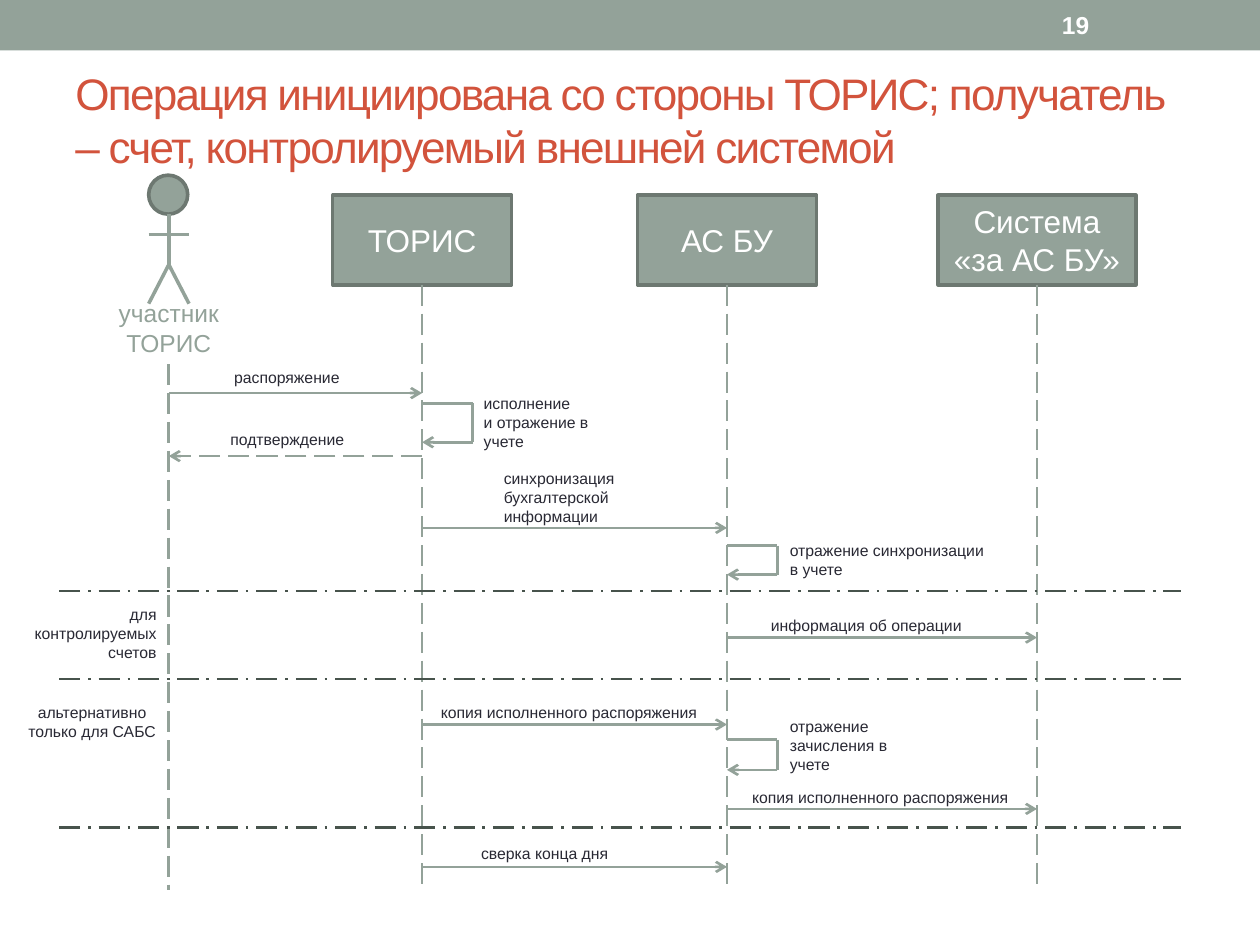
from lxml import etree
from pptx import Presentation
from pptx.dml.color import RGBColor
from pptx.enum import dml, shapes, text
from pptx.oxml import ns
from pptx.util import Inches, Pt

SAGE = RGBColor(0x93, 0xA2, 0x99)
SAGE_EDGE = RGBColor(0x6D, 0x78, 0x71)
DARK_GREEN = RGBColor(0x47, 0x53, 0x4C)
INK = RGBColor(0x29, 0x29, 0x34)
RUST = RGBColor(0xD2, 0x53, 0x3C)
WHITE = RGBColor(0xFF, 0xFF, 0xFF)
LEFT, CENTER, RIGHT = text.PP_ALIGN.LEFT, text.PP_ALIGN.CENTER, text.PP_ALIGN.RIGHT
MIDDLE = text.MSO_ANCHOR.MIDDLE
DASH = dml.MSO_LINE.LONG_DASH
DASH_DOT = dml.MSO_LINE.LONG_DASH_DOT

TITLE = "Операция инициирована со стороны ТОРИС; получатель – счет, контролируемый внешней системой"
PAGE_NUMBER = "19"

USER, CORE, LEDGER, OUTSIDE = 1.34, 3.35, 5.77, 8.23
HEAD_TOP, HEAD_HEIGHT = 1.55, 0.71
HEAD_BOTTOM = HEAD_TOP + HEAD_HEIGHT
LIFELINE_END = 7.06
LOOP_WIDTH = 0.4

SYSTEMS = [
    (CORE, 1.42, ["ТОРИС"]),
    (LEDGER, 1.42, ["АС БУ"]),
    (OUTSIDE, 1.57, ["Система", "«за АС БУ»"]),
]
LIFELINES = [(USER, 2.89), (CORE, HEAD_BOTTOM), (LEDGER, HEAD_BOTTOM), (OUTSIDE, HEAD_BOTTOM)]
MESSAGES = [
    (USER, CORE, 3.12, None),
    (CORE, USER, 3.62, DASH),
    (CORE, LEDGER, 4.19, None),
    (LEDGER, OUTSIDE, 5.06, None),
    (CORE, LEDGER, 5.75, None),
    (LEDGER, OUTSIDE, 6.42, None),
    (CORE, LEDGER, 6.88, None),
]
LOOPS = [(CORE, 3.2, 3.51), (LEDGER, 4.33, 4.56), (LEDGER, 5.87, 6.11)]
SEPARATORS = [4.69, 5.39, 6.57]
LABELS = [
    (1.76, 2.87, 1.12, 0.25, LEFT, ["распоряжение"]),
    (3.74, 3.08, 1.18, 0.56, LEFT, ["исполнение", "и отражение в", "учете"]),
    (1.73, 3.36, 1.3, 0.25, LEFT, ["подтверждение"]),
    (3.9, 3.67, 1.5, 0.56, LEFT, ["синхронизация бухгалтерской информации"]),
    (6.17, 4.24, 1.75, 0.4, LEFT, ["отражение синхронизации", "в учете"]),
    (0.12, 4.75, 1.22, 0.56, RIGHT, ["для контролируемых счетов"]),
    (6.02, 4.84, 1.81, 0.25, LEFT, ["информация об операции"]),
    (0.12, 5.53, 1.22, 0.4, CENTER, ["альтернативно только для САБС"]),
    (3.4, 5.53, 2.39, 0.25, LEFT, ["копия исполненного распоряжения"]),
    (6.17, 5.64, 1.18, 0.56, LEFT, ["отражение зачисления в", "учете"]),
    (5.87, 6.2, 2.39, 0.25, LEFT, ["копия исполненного распоряжения"]),
    (3.72, 6.65, 1.5, 0.25, LEFT, ["сверка конца дня"]),
]

presentation = Presentation()
presentation.slide_width, presentation.slide_height = Inches(10), Inches(7.5)
slide = presentation.slides.add_slide(presentation.slide_layouts[6])


def write(shape, lines, size, color, align=LEFT, anchor=text.MSO_ANCHOR.TOP, bold=False):
    frame = shape.text_frame
    frame.word_wrap = True
    frame.vertical_anchor = anchor
    frame.text = "\n".join(lines)
    for paragraph in frame.paragraphs:
        paragraph.alignment = align
        font = paragraph.font
        font.name, font.size, font.bold = "Arial", Pt(size), bold
        font.color.rgb = color
    return frame


def add_text(left, top, width, height, *style, **options):
    box = slide.shapes.add_textbox(Inches(left), Inches(top), Inches(width), Inches(height))
    return write(box, *style, **options)


def add_block(kind, left, top, width, height, edge=None):
    shape = slide.shapes.add_shape(kind, Inches(left), Inches(top), Inches(width), Inches(height))
    shape.shadow.inherit = False
    shape.fill.solid()
    shape.fill.fore_color.rgb = SAGE
    if edge is None:
        shape.line.fill.background()
    else:
        shape.line.color.rgb = edge
        shape.line.width = Pt(2.08)
    return shape


def add_line(x1, y1, x2, y2, color=SAGE, width=1.5, dash=None, arrow=False):
    connector = slide.shapes.add_connector(
        shapes.MSO_CONNECTOR.STRAIGHT, Inches(x1), Inches(y1), Inches(x2), Inches(y2))
    line = connector.line
    line.color.rgb = color
    line.width = Pt(width)
    if dash:
        line.dash_style = dash
    if arrow:
        etree.SubElement(line._get_or_add_ln(), ns.qn("a:tailEnd"), type="arrow")
    etree.SubElement(connector._element.spPr, ns.qn("a:effectLst"))


add_block(shapes.MSO_SHAPE.RECTANGLE, 0, 0, 10, 0.4)
title = add_text(0.5, 0.58, 9, 0.73, [TITLE], 25.2, RUST, anchor=MIDDLE)
title.paragraphs[0].runs[0]._r.get_or_add_rPr().set("spc", "-100")
add_text(8.33, 0.02, 1.17, 0.36, [PAGE_NUMBER], 14, WHITE, anchor=MIDDLE, bold=True)

for x, width, lines in SYSTEMS:
    head = add_block(shapes.MSO_SHAPE.RECTANGLE, x - width / 2, HEAD_TOP, width, HEAD_HEIGHT, SAGE_EDGE)
    write(head, lines, 18, WHITE, CENTER, MIDDLE)

for x, top in LIFELINES:
    add_line(x, top, x, LIFELINE_END, dash=DASH)

add_block(shapes.MSO_SHAPE.OVAL, USER - 0.16, 1.39, 0.31, 0.31, SAGE_EDGE)
add_line(USER, 1.7, USER, 2.1, width=2)
add_line(USER - 0.16, 1.86, USER + 0.16, 1.86, width=2)
for side in (-1, 1):
    add_line(USER, 2.1, USER + side * 0.16, 2.41, width=2)
add_text(0.83, 2.32, 1.02, 0.57, ["участник", "ТОРИС"], 14, SAGE, CENTER)

for start, end, y, dash in MESSAGES:
    add_line(start, y, end, y, dash=dash, arrow=True)

for x, top, bottom in LOOPS:
    add_line(x, top, x + LOOP_WIDTH, top)
    add_line(x + LOOP_WIDTH, top, x + LOOP_WIDTH, bottom)
    add_line(x + LOOP_WIDTH, bottom, x, bottom, arrow=True)

for y in SEPARATORS:
    add_line(0.47, y, 9.37, y, color=DARK_GREEN, dash=DASH_DOT)

for left, top, width, height, align, lines in LABELS:
    add_text(left, top, width, height, lines, 9, INK, align)

presentation.save("out.pptx")
